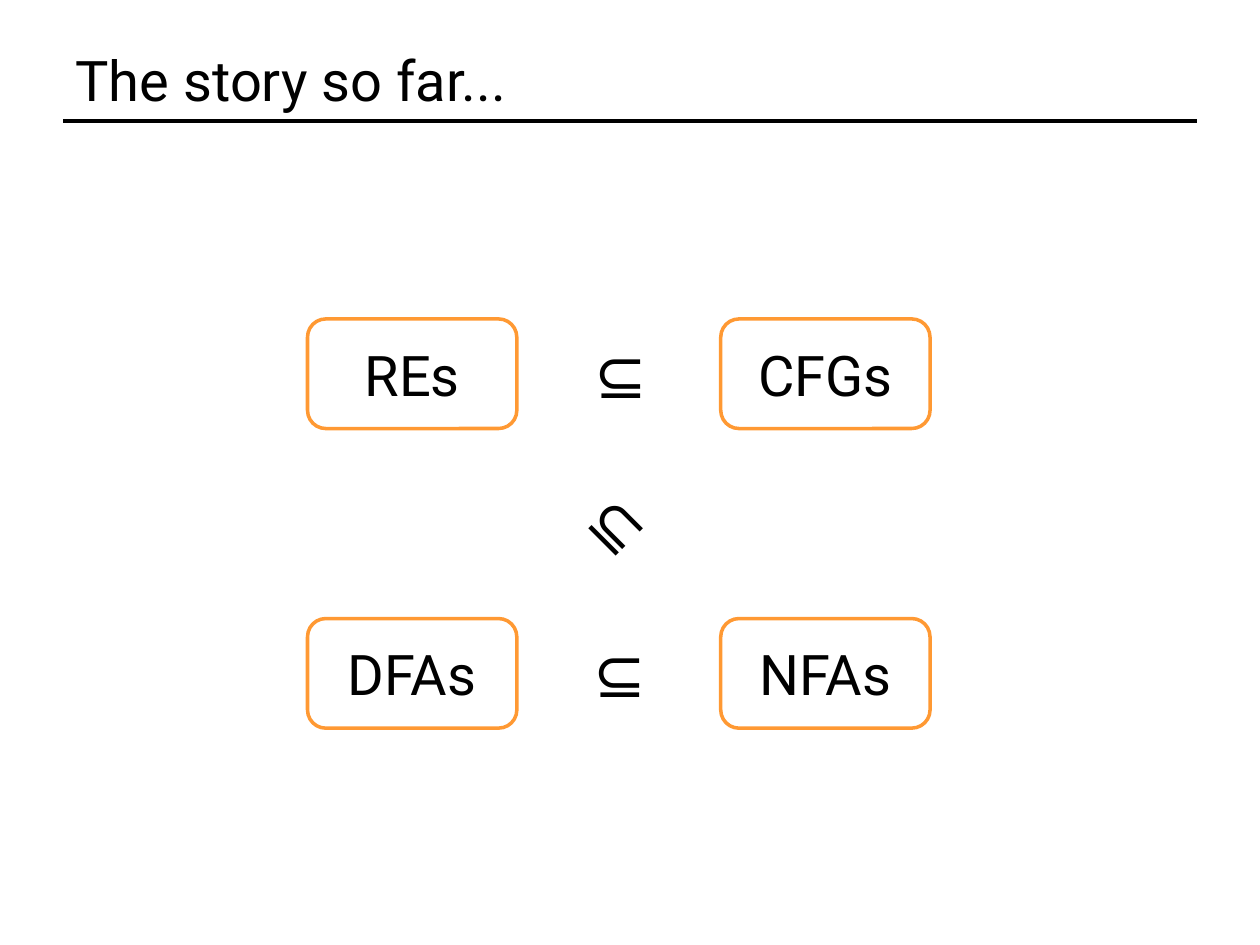
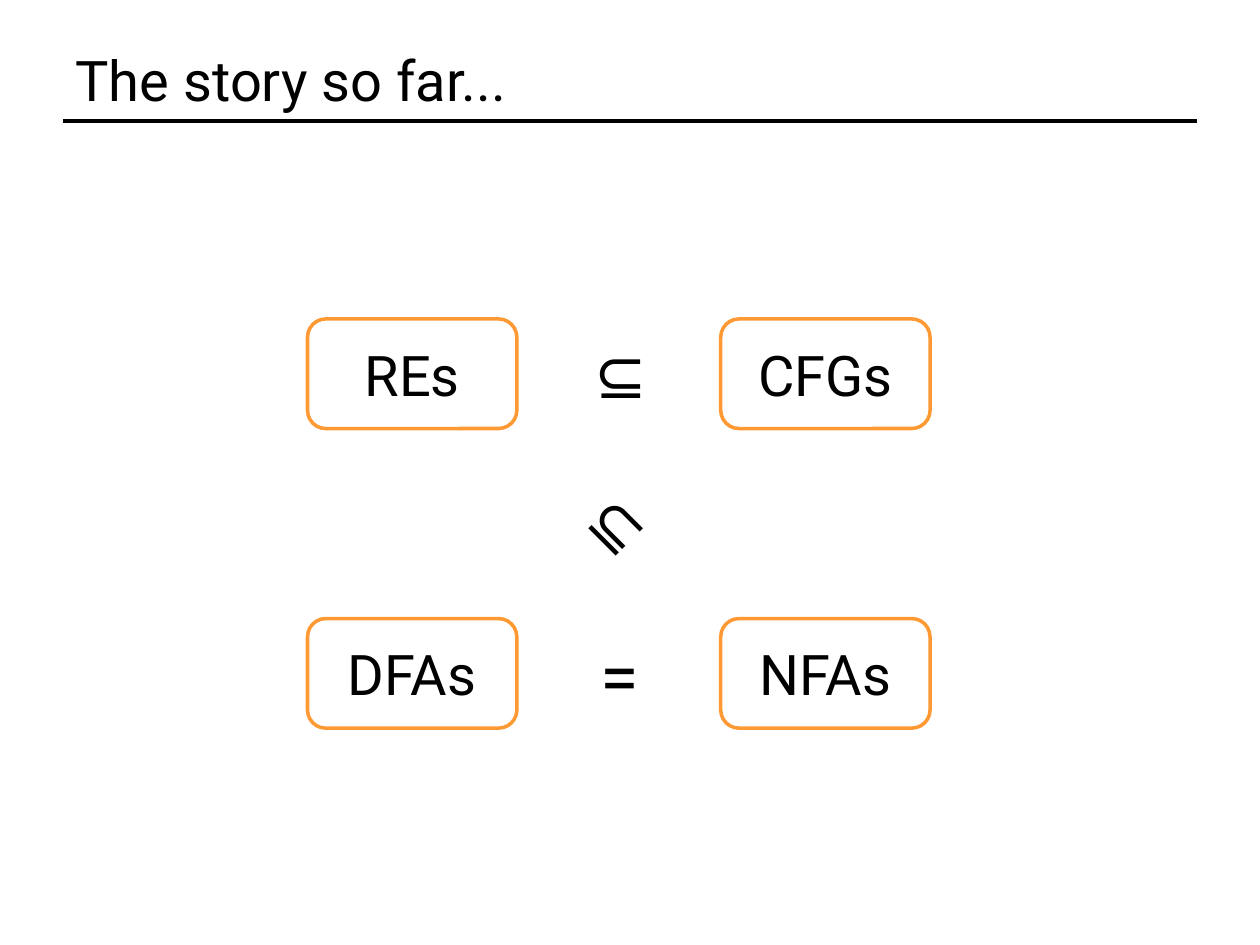
"""Build two slides on how REs, CFGs, DFAs and NFAs relate."""
import dataclasses

import lxml.etree
import pptx
import pptx.dml.color
import pptx.enum.shapes
import pptx.enum.text
import pptx.oxml.ns
import pptx.util

Cm = pptx.util.Cm
BLACK = pptx.dml.color.RGBColor(0x00, 0x00, 0x00)
ORANGE = pptx.dml.color.RGBColor(0xFF, 0x99, 0x33)
WHITE = pptx.dml.color.RGBColor(0xFF, 0xFF, 0xFF)
ALIGN = pptx.enum.text.PP_ALIGN
ANCHOR = pptx.enum.text.MSO_ANCHOR
FIT = pptx.enum.text.MSO_AUTO_SIZE
FONT = "Roboto"
TITLE = "The story so far..."
EDGE, RULE_Y = 1.27, 2.44
WIDTH, HEIGHT = 25.4, 19.05
LEFT, RIGHT = 6.2, 14.53
TOP, LOW = 6.43, 12.47


@dataclasses.dataclass(frozen=True)
class Box:
    text: str
    x: float
    y: float
    w: float = 4.22
    h: float = 2.21


@dataclasses.dataclass(frozen=True)
class Sign:
    text: str
    x: float
    y: float
    w: float = 1.47
    h: float = 1.8
    font: str = "Calibri"
    size: int = 36
    turn: int = 0


BOXES = [
    Box("REs", LEFT, TOP),
    Box("DFAs", LEFT, LOW),
    Box("NFAs", RIGHT, LOW),
    Box("CFGs", RIGHT, TOP),
]
SHARED = [Sign("⊆", 11.73, 6.63), Sign("⊆", 11.73, 9.65, turn=45)]
SUBSET = Sign("⊆", 11.71, 12.67)
EQUAL = Sign("=", 11.86, 12.62, w=1.35, h=1.96, font=FONT, size=40)


def write(frame, text: str, *, font: str = FONT, size: int = 32,
          align=ALIGN.LEFT, anchor=ANCHOR.TOP, wrap: bool = True,
          fit=FIT.NONE) -> None:
    frame.word_wrap = wrap
    frame.auto_size = fit
    frame.vertical_anchor = anchor
    para = frame.paragraphs[0]
    para.alignment = align
    run = para.add_run()
    run.text = text
    run.font.name = font
    run.font.size = pptx.util.Pt(size)
    run.font.color.rgb = BLACK


def stroke(line, color: pptx.dml.color.RGBColor) -> None:
    line.color.rgb = color
    line.width = pptx.util.Pt(2)


def draw_head(slide) -> None:
    title = slide.shapes.title
    title.left, title.top = Cm(EDGE), Cm(0.76)
    title.width, title.height = Cm(WIDTH - 2 * EDGE), Cm(1.68)
    write(title.text_frame, TITLE, anchor=ANCHOR.MIDDLE)
    rule = slide.shapes.add_connector(
        pptx.enum.shapes.MSO_CONNECTOR.STRAIGHT,
        Cm(EDGE), Cm(RULE_Y), Cm(WIDTH - EDGE), Cm(RULE_Y))
    stroke(rule.line, BLACK)
    lxml.etree.SubElement(rule._element.spPr,
                          pptx.oxml.ns.qn("a:effectLst"))


def draw_box(slide, box: Box) -> None:
    shape = slide.shapes.add_shape(
        pptx.enum.shapes.MSO_SHAPE.ROUNDED_RECTANGLE,
        Cm(box.x), Cm(box.y), Cm(box.w), Cm(box.h))
    shape.shadow.inherit = False
    shape.fill.background()
    stroke(shape.line, ORANGE)
    write(shape.text_frame, box.text, align=ALIGN.CENTER,
          anchor=ANCHOR.MIDDLE)


def draw_sign(slide, sign: Sign) -> None:
    shape = slide.shapes.add_textbox(
        Cm(sign.x), Cm(sign.y), Cm(sign.w), Cm(sign.h))
    shape.rotation = sign.turn
    write(shape.text_frame, sign.text, font=sign.font, size=sign.size,
          wrap=False, fit=FIT.SHAPE_TO_FIT_TEXT)


def add_slide(deck, last: Sign) -> None:
    slide = deck.slides.add_slide(deck.slide_layouts[5])
    fill = slide.background.fill
    fill.solid()
    fill.fore_color.rgb = WHITE
    draw_head(slide)
    for box in BOXES:
        draw_box(slide, box)
    for sign in [*SHARED, last]:
        draw_sign(slide, sign)


def main() -> None:
    deck = pptx.Presentation()
    deck.slide_width, deck.slide_height = Cm(WIDTH), Cm(HEIGHT)
    for last in (SUBSET, EQUAL):
        add_slide(deck, last)
    deck.save("out.pptx")


if __name__ == "__main__":
    main()
